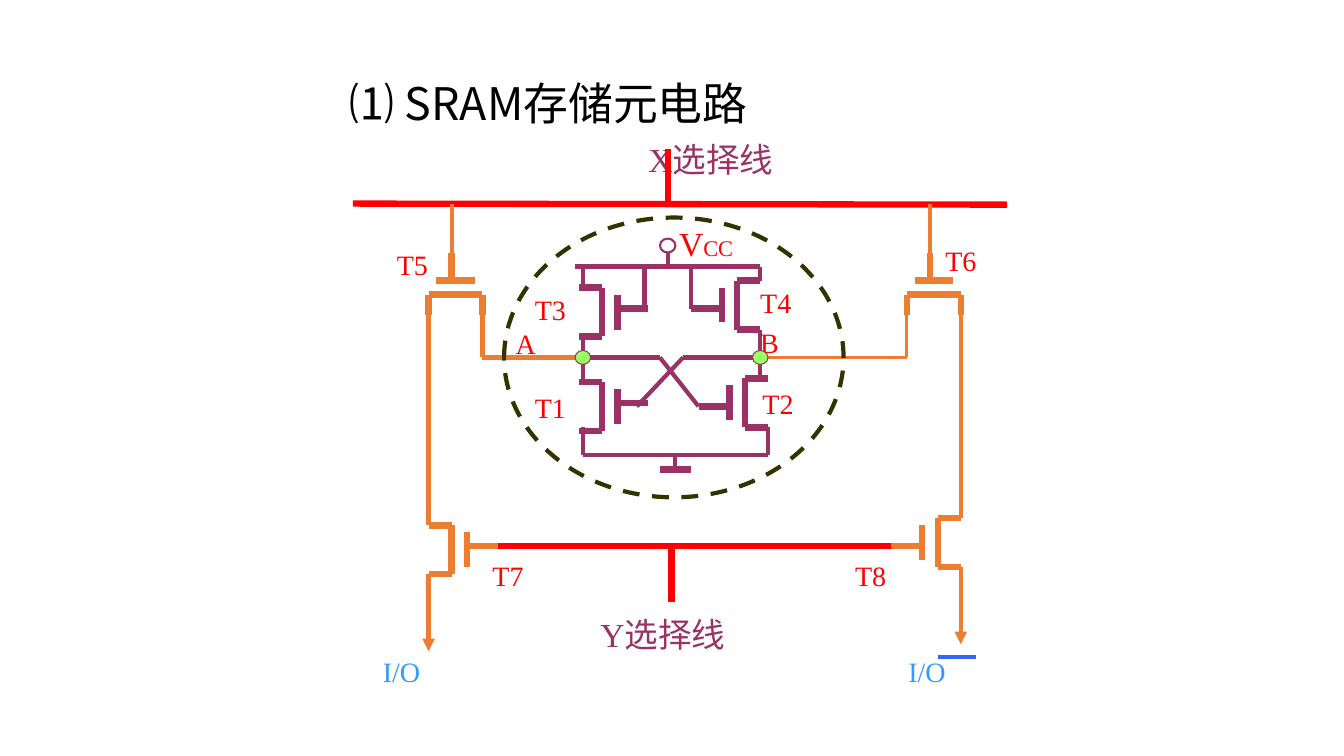
from itertools import pairwise

from lxml.etree import SubElement
from pptx import Presentation
from pptx.dml.color import RGBColor
from pptx.enum.dml import MSO_LINE_DASH_STYLE as DASH
from pptx.enum.shapes import MSO_CONNECTOR as CONN, MSO_SHAPE as SHAPE
from pptx.enum.text import MSO_ANCHOR as ANCHOR, MSO_AUTO_SIZE as FIT, PP_ALIGN as ALIGN
from pptx.oxml.ns import qn
from pptx.util import Inches, Pt

RED, ORANGE, PURPLE, BLACK = "FF0000", "ED7D31", "993366", "000000"
SKY, BLUE, GREEN, OLIVE, WHITE = "3399FF", "3366FF", "99FF66", "333300", "FFFFFF"
SANS, SERIF = "Noto Sans CJK SC", "Times New Roman"
THICK, THIN = 4.5, 3

# Circuit grid: from the X line (row 0) to the Y line (row 49)
LEFT, TOP, WIDTH, HEIGHT = 4.25, 2.02, 5.28, 3.4
COLS, ROWS = 69, 49
NODE_A, NODE_B = 20, 43
NODE_ROW = 22


def rgb(color):
    return RGBColor.from_string(color)


def gx(col):
    return Inches(LEFT + col * WIDTH / COLS)


def gy(row):
    return Inches(TOP + row * HEIGHT / ROWS)


def write(tf, *runs, color=BLACK, font=SERIF, anchor=ANCHOR.TOP, fit=FIT.SHAPE_TO_FIT_TEXT):
    """Fill a text frame with one paragraph of (text, size) runs."""
    tf.word_wrap = True
    tf.auto_size = fit
    tf.vertical_anchor = anchor
    p = tf.paragraphs[0]
    p.alignment = ALIGN.LEFT
    for text, size in runs:
        r = p.add_run()
        r.text = text
        r.font.size = Pt(size)
        r.font.name = font
        r.font.color.rgb = rgb(color)
        SubElement(r.font._element, qn("a:ea"), typeface=SANS)


def label(s, col, row, *runs, color=RED, cols=8):
    rows = 7.2 if runs[0][1] == 24 else 6.2
    x, y = gx(col), gy(row)
    sp = s.shapes.add_textbox(x, y, gx(col + cols) - x, gy(row + rows) - y)
    write(sp.text_frame, *runs, color=color)


def wire(s, *points, color=PURPLE, width=THIN, arrow=False):
    """Join grid points, given as (column, row), with straight lines."""
    for (c1, r1), (c2, r2) in pairwise(points):
        cn = s.shapes.add_connector(CONN.STRAIGHT, gx(c1), gy(r1), gx(c2), gy(r2))
        cn.line.color.rgb = rgb(color)
        cn.line.width = Pt(width)
        if arrow:
            SubElement(cn.line._get_or_add_ln(), qn("a:tailEnd"), type="triangle")
        SubElement(cn._element.spPr, qn("a:effectLst"))


def oval(s, col, row, cols, rows, line, width, fill=None, dash=None):
    """Draw an ellipse centred on a grid point."""
    x, y = gx(col - cols / 2), gy(row - rows / 2)
    sp = s.shapes.add_shape(SHAPE.OVAL, x, y, gx(col + cols / 2) - x, gy(row + rows / 2) - y)
    sp.shadow.inherit = False
    if fill:
        sp.fill.solid()
        sp.fill.fore_color.rgb = rgb(fill)
    else:
        sp.fill.background()
    sp.line.color.rgb = rgb(line)
    sp.line.width = Pt(width)
    if dash:
        sp.line.dash_style = dash


def upright_transistor(s, col, row, d, color):
    """Channel at col from row down; the gate is right (d=1) or left (d=-1)."""
    style = dict(color=color, width=THICK)
    gate, lead = col + 2 * d, row + (3 if d > 0 else 4)
    wire(s, (col - 3 * d, row), (col, row), (col, row + 7), (col - 3 * d, row + 7), **style)
    wire(s, (gate, row + 1), (gate, row + 6), **style)
    wire(s, (col + 6 * d, lead), (gate, lead), **style)


def flat_transistor(s, col, d, gate):
    """Channel running from col inwards, with its gate above."""
    style = dict(color=ORANGE, width=THICK)
    inner = col + 7 * d
    wire(s, (col + d, 11), (col + 6 * d, 11), **style)
    wire(s, (col, 16), (col, 13), (inner, 13), (inner, 16), **style)
    wire(s, (gate, 7), (gate, 11), **style)


def title(s, x, y, w, h):
    sp = s.shapes.title
    sp.left, sp.top, sp.width, sp.height = (Inches(v) for v in (x, y, w, h))
    write(sp.text_frame, ("⑴ SRAM存储元电路", 32), font=SANS, anchor=ANCHOR.MIDDLE, fit=FIT.NONE)


def select_lines(s):
    style = dict(color=RED, width=THICK)
    label(s, 27.2, -10, ("X选择线", 24), color=PURPLE, cols=27)
    wire(s, (-9.8, 0), (75, 0.15), **style)
    wire(s, (31, -7.8), (31, 0.2), **style)
    wire(s, (9, 49), (60, 49), **style)
    wire(s, (31.5, 49), (31.5, 57), **style)
    label(s, 21, 58, ("Y选择线", 24), color=PURPLE, cols=24)


def bit_line(s, outer, d, gate, drop, node, width):
    """Access transistor, column transistor and I/O arrow of one side."""
    inner = outer + 7 * d
    flat_transistor(s, outer, d, gate)
    upright_transistor(s, outer + 3 * d, drop, d, ORANGE)
    wire(s, (gate, 0), (gate, 7), color=ORANGE)
    wire(s, (outer, 15), (outer, drop), color=ORANGE)
    wire(s, (inner, 16), (inner, NODE_ROW), (node, NODE_ROW), color=ORANGE, width=width)
    if d < 0:
        wire(s, (outer, drop + 7), (outer, drop + 15), color=BLACK)
    wire(s, (outer, drop + 7), (outer, drop + 18), color=ORANGE, arrow=True)


def latch(s):
    # T1, T3, T2, T4
    for col, row, d in ((22.5, 25.5, 1), (22.5, 12, 1), (41, 25, -1), (40, 11, -1)):
        upright_transistor(s, col, row, d, PURPLE)
    # Supply rail
    wire(s, (19, 9), (43, 9))
    wire(s, (31, 7), (31, 9))
    for col, end in ((20, 12), (28, 15), (34, 15), (43, 11)):
        wire(s, (col, 9), (col, end))
    # Nodes and cross coupling
    wire(s, (NODE_A, 19), (NODE_A, 26))
    wire(s, (NODE_B, 18), (NODE_B, 25))
    wire(s, (19, NODE_ROW), (30, NODE_ROW), (35, 29))
    wire(s, (NODE_B, NODE_ROW), (33, NODE_ROW), (27, 29))
    # Ground
    wire(s, (20, 32), (20, 36), (44, 36), (44, 32))
    wire(s, (32, 36), (32, 38))
    wire(s, (30, 38), (34, 38), width=THICK)


def labels(s):
    spots = ((12.5, 26), (42, 25.5), (12.5, 12), (41.7, 11),
             (-5.4, 5.5), (65.7, 5), (7, 50), (54, 50))
    for n, (col, row) in enumerate(spots, 1):
        label(s, col, row, (f"T{n}", 20))
    label(s, 31.2, 2, ("V", 24), ("CC", 16), cols=10)
    label(s, 10, 16.9, ("A", 20), cols=11)
    label(s, 41.7, 16.7, ("B", 20), cols=10)
    for col in (-7.2, 60.9):
        label(s, col, 63.8, ("I/O", 20), color=SKY, cols=16.5)
    # Bar over the inverted I/O
    wire(s, (66.1, 64.8), (70.9, 64.8), color=BLUE)


def terminals(s):
    oval(s, 31, 6, 2, 2, PURPLE, 1.5, fill=WHITE)
    for col in (NODE_A, NODE_B):
        oval(s, col, NODE_ROW, 2, 2, PURPLE, 0.75, fill=GREEN)
    oval(s, 31.8, 22, 44, 40, OLIVE, THIN, dash=DASH.DASH)


def main():
    prs = Presentation()
    prs.slide_width, prs.slide_height = Inches(13.33), Inches(7.5)
    s = prs.slides.add_slide(prs.slide_layouts[5])
    title(s, 3.37, 0.7, 4.62, 0.63)
    select_lines(s)
    bit_line(s, 0, 1, 3, 46, NODE_A, THIN)
    bit_line(s, COLS, -1, 65, 45, NODE_B, 2.25)
    latch(s)
    labels(s)
    terminals(s)
    prs.save("out.pptx")


if __name__ == "__main__":
    main()
